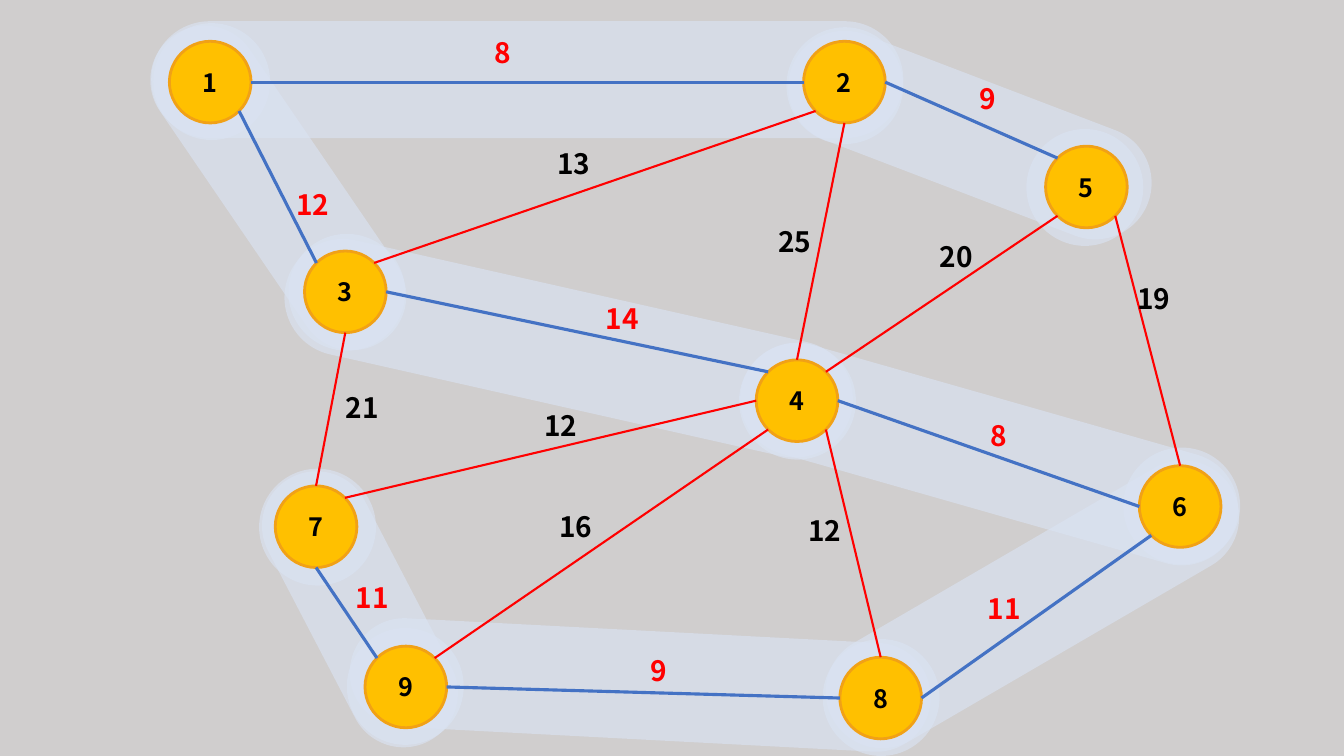
"""Build a weighted graph slide with its minimum spanning tree highlighted."""
from math import cos, radians, sin

from lxml import etree
from pptx import Presentation
from pptx.dml.color import RGBColor
from pptx.enum import shapes, text
from pptx.oxml.ns import qn
from pptx.util import Inches, Pt

GREY = RGBColor(0xD0, 0xCE, 0xCE)
PALE = RGBColor(0xDA, 0xE3, 0xF3)
GOLD = RGBColor(0xFF, 0xC0, 0x00)
ORANGE = RGBColor(0xF1, 0xA1, 0x16)
BLUE = RGBColor(0x44, 0x72, 0xC4)
RED = RGBColor(0xFF, 0x00, 0x00)
BLACK = RGBColor(0x00, 0x00, 0x00)
FONT = "Noto Sans CJK KR"
NODE, HALO = 0.81, 1.16

BANDS = [
    (3.03, 4.57, 1.08, 2.95, 152.5),
    (5.81, 3.91, 1.08, 5.77, 273),
    (9.68, 3.71, 1.12, 4.57, 239.8),
    (9.25, 1.96, 1.12, 5.09, 285.9),
    (5.06, 0.58, 1.16, 5.75, 282.7),
    (2.22, 0.03, 1.08, 3.67, 145.7),
    (4.65, -2.94, 1.16, 7.46, 270),
    (9.06, -0.55, 1.12, 3.78, 290.9),
]
HALOS = [
    (1.52, 0.23), (7.8, 0.27), (2.86, 2.32), (7.33, 3.4), (10.18, 1.28),
    (11.14, 4.44), (2.57, 4.65), (8.16, 6.34), (3.44, 6.23),
]
NODES = {
    1: (1.68, 0.41), 2: (7.97, 0.41), 3: (3.02, 2.49),
    4: (7.5, 3.57), 5: (10.37, 1.45), 6: (11.3, 4.62),
    7: (2.73, 4.82), 8: (8.33, 6.52), 9: (3.62, 6.41),
}
ANGLES = {"E": 0, "SE": 45, "S": 90, "SW": 135, "W": 180, "NW": 225, "N": 270, "NE": 315}
TREE_EDGES = [
    (1, "E", 2, "W", "8", 4.81, 0.3),
    (1, "SE", 3, "NW", "12", 2.84, 1.81),
    (5, "NW", 2, "E", "9", 9.62, 0.76),
    (3, "E", 4, "NW", "14", 5.91, 2.94),
    (4, "E", 6, "W", "8", 9.73, 4.1),
    (8, "E", 6, "SW", "11", 9.7, 5.82),
    (7, "S", 9, "NW", "11", 3.43, 5.71),
    (9, "E", 8, "W", "9", 6.35, 6.43),
]
OTHER_EDGES = [
    (8, "N", 4, "SE", "12", 7.92, 5.05),
    (2, "S", 4, "N", "25", 7.62, 2.18),
    (4, "SW", 9, "NE", "16", 5.45, 5.01),
    (7, "N", 3, "S", "21", 3.33, 3.82),
    (3, "NE", 2, "SW", "13", 5.43, 1.4),
    (7, "NE", 4, "W", "12", 5.3, 4),
    (5, "SW", 4, "NE", "20", 9.22, 2.33),
    (5, "SE", 6, "N", "19", 11.18, 2.74),
]

prs = Presentation()
prs.slide_width, prs.slide_height = Inches(13.33), Inches(7.5)
s = prs.slides.add_slide(prs.slide_layouts[6])
s.background.fill.solid()
s.background.fill.fore_color.rgb = GREY


def write(sp, words, size=20, color=BLACK, align=text.PP_ALIGN.LEFT):
    p = sp.text_frame.paragraphs[0]
    p.alignment = align
    r = p.add_run()
    r.text = words
    r.font.name, r.font.size, r.font.bold = FONT, Pt(size), True
    r.font.color.rgb = color


def rim(node, side):
    angle, radius = radians(ANGLES[side]), NODE / 2
    x, y = NODES[node]
    return Inches(x + radius + radius * cos(angle)), Inches(y + radius + radius * sin(angle))


glows = [(shapes.MSO_SHAPE.ROUNDED_RECTANGLE, *band) for band in BANDS]
glows += [(shapes.MSO_SHAPE.OVAL, x, y, HALO, HALO, 0) for x, y in HALOS]
for kind, x, y, w, h, turn in glows:
    sp = s.shapes.add_shape(kind, Inches(x), Inches(y), Inches(w), Inches(h))
    sp.rotation = turn
    sp.shadow.inherit = False
    sp.fill.solid()
    sp.fill.fore_color.rgb = PALE
    sp.line.fill.background()
    if kind == shapes.MSO_SHAPE.ROUNDED_RECTANGLE:
        sp.adjustments[0] = 0.5
    clr = sp._element.spPr.find(".//" + qn("a:srgbClr"))
    etree.SubElement(clr, qn("a:alpha"), val="63000")

for number, (x, y) in NODES.items():
    sp = s.shapes.add_shape(shapes.MSO_SHAPE.OVAL, Inches(x), Inches(y), Inches(NODE), Inches(NODE))
    sp.shadow.inherit = False
    sp.fill.solid()
    sp.fill.fore_color.rgb = GOLD
    sp.line.color.rgb = ORANGE
    sp.line.width = Pt(2)
    sp.text_frame.vertical_anchor = text.MSO_ANCHOR.MIDDLE
    write(sp, str(number), size=18, align=text.PP_ALIGN.CENTER)

for edges, line_color, width, label_color in (
    (OTHER_EDGES, RED, 1.5, BLACK),
    (TREE_EDGES, BLUE, 2.25, RED),
):
    for start, start_side, end, end_side, weight, x, y in edges:
        line = s.shapes.add_connector(
            shapes.MSO_CONNECTOR.STRAIGHT, *rim(start, start_side), *rim(end, end_side))
        line.line.color.rgb = line_color
        line.line.width = Pt(width)
        etree.SubElement(line._element.spPr, qn("a:effectLst"))
        label_width = 0.36 if len(weight) == 1 else 0.53
        sp = s.shapes.add_textbox(Inches(x), Inches(y), Inches(label_width), Inches(0.44))
        sp.text_frame.word_wrap = False
        sp.text_frame.auto_size = text.MSO_AUTO_SIZE.SHAPE_TO_FIT_TEXT
        write(sp, weight, color=label_color)

prs.save("out.pptx")
